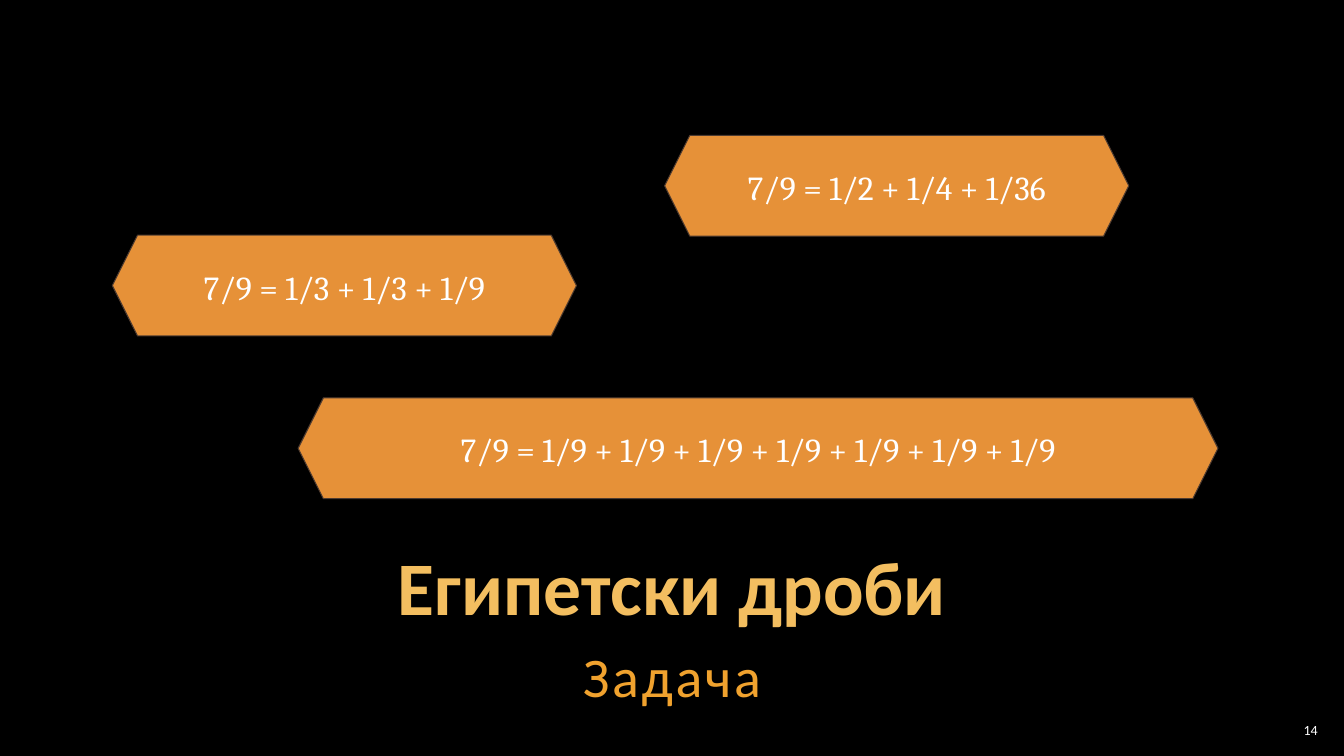
from pptx import Presentation
from pptx.dml.color import RGBColor
from pptx.enum.shapes import MSO_SHAPE
from pptx.enum.text import MSO_ANCHOR, MSO_AUTO_SIZE, PP_ALIGN
from pptx.util import Emu, Pt

EMU_PER_PX = 9525
COLORS = {
    "background": "000000",
    "title": "F3BE60",
    "subtitle": "F0A22E",
    "hexagon": "E69138",
    "outline": "4E3B30",
    "text": "FFFFFF",
}


def px(length):
    return Emu(length * EMU_PER_PX)


def color(name):
    return RGBColor.from_string(COLORS[name])


def write(frame, text, *, size, fill="text", font="Calibri", bold=False,
          align=PP_ALIGN.CENTER, anchor=MSO_ANCHOR.MIDDLE, inset=4,
          line_spacing=1.0, tracking=0):
    frame.word_wrap = True
    frame.auto_size = MSO_AUTO_SIZE.NONE
    frame.vertical_anchor = anchor
    frame.margin_left = frame.margin_right = px(inset)
    frame.margin_top = frame.margin_bottom = px(inset)
    para = frame.paragraphs[0]
    para.alignment = align
    para.line_spacing = line_spacing
    para.space_before = Pt(0)
    span = para.add_run()
    span.text = text
    span.font.name = font
    span.font.size = Pt(size)
    span.font.bold = bold
    span.font.color.rgb = color(fill)
    if tracking:
        span.font._element.set("spc", str(tracking * 100))


class FractionSlide:
    def __init__(self, deck):
        self.page = deck.slides.add_slide(deck.slide_layouts[5])
        background = self.page.background.fill
        background.solid()
        background.fore_color.rgb = color("background")

    def title(self, text, left, top, width, height, **style):
        box = self.page.shapes.title
        box.left, box.top = px(left), px(top)
        box.width, box.height = px(width), px(height)
        write(box.text_frame, text, **style)

    def label(self, text, left, top, width, height, **style):
        box = self.page.shapes.add_textbox(px(left), px(top), px(width), px(height))
        write(box.text_frame, text, **style)

    def hexagon(self, text, left, top, width, height=96):
        shape = self.page.shapes.add_shape(
            MSO_SHAPE.HEXAGON, px(left), px(top), px(width), px(height))
        shape.adjustments[0] = 0.25
        shape.shadow.inherit = False
        shape.fill.solid()
        shape.fill.fore_color.rgb = color("hexagon")
        shape.line.color.rgb = color("outline")
        shape.line.width = Pt(0.75)
        write(shape.text_frame, text, size=24, font="Cambria", inset=12,
              line_spacing=1.05)


def main():
    deck = Presentation()
    deck.slide_width, deck.slide_height = px(1280), px(720)
    slide = FractionSlide(deck)
    slide.title("Египетски дроби", 96, 520, 1088, 86, size=54, fill="title",
                bold=True, anchor=MSO_ANCHOR.BOTTOM, line_spacing=0.9)
    slide.label("Задача", 96, 604, 1088, 76, size=40, fill="subtitle",
                anchor=MSO_ANCHOR.TOP, line_spacing=1.05, tracking=2)
    ninths = " + ".join(["1/9"] * 7)
    for terms, left, top, width in (
        ("1/3 + 1/3 + 1/9", 107, 224, 442),
        (ninths, 284, 379, 876),
        ("1/2 + 1/4 + 1/36", 633, 129, 442),
    ):
        slide.hexagon(f"7/9 = {terms}", left, top, width)
    slide.label("14", 1214, 685, 45, 20, size=10, align=PP_ALIGN.RIGHT)
    deck.save("out.pptx")


if __name__ == "__main__":
    main()
